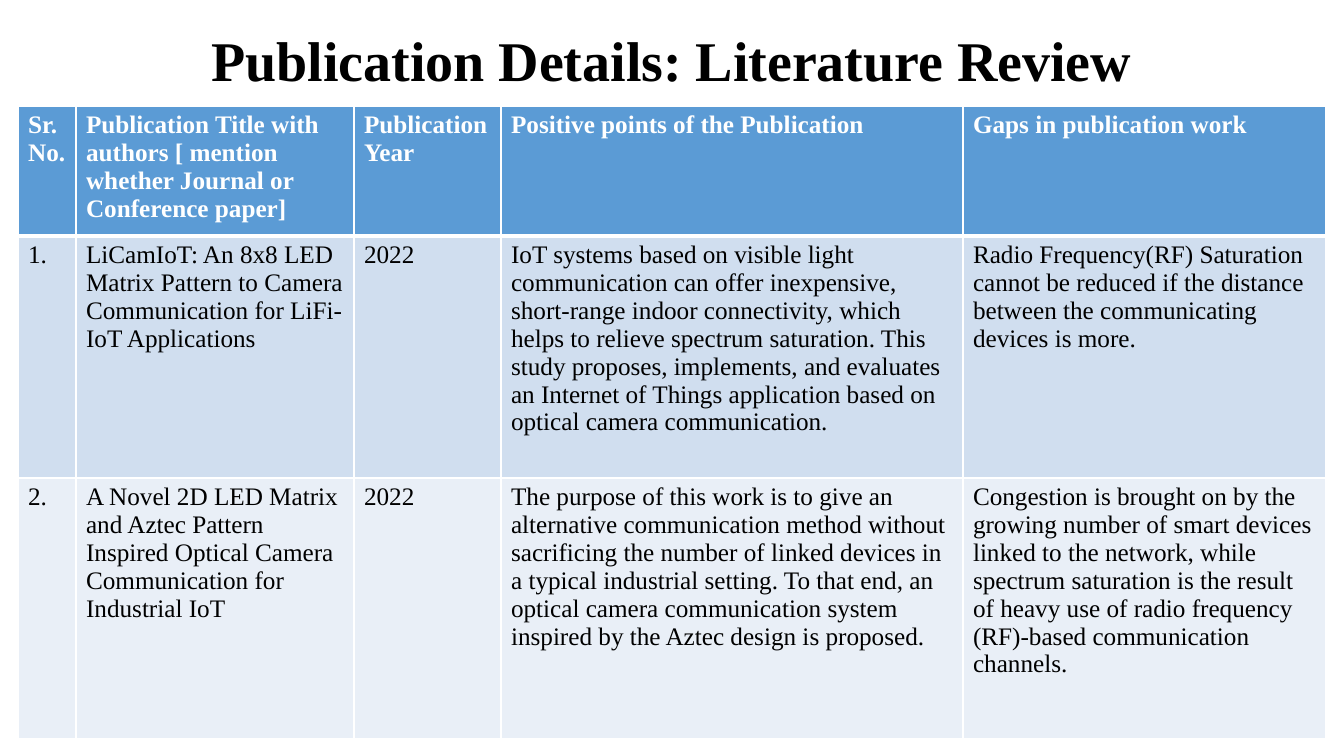
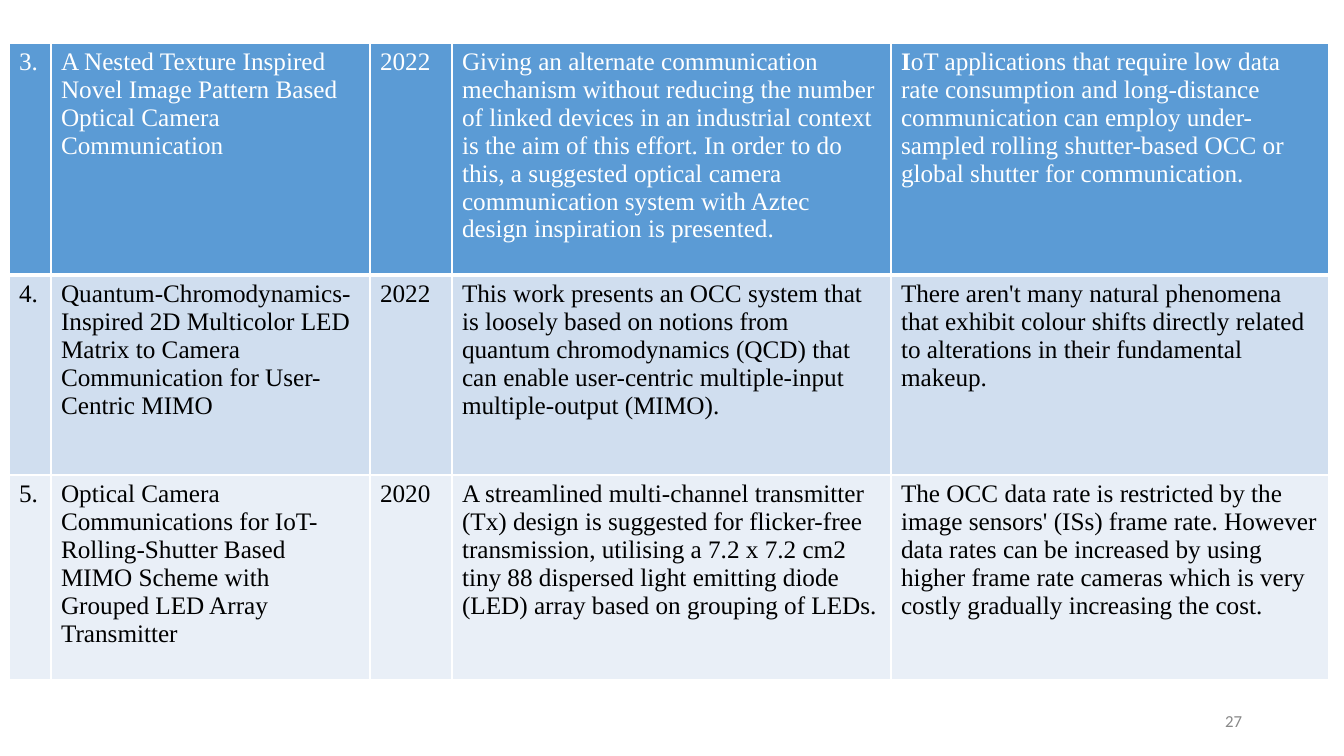
from lxml.etree import SubElement
from pptx import Presentation
from pptx.dml.color import RGBColor
from pptx.enum.text import MSO_ANCHOR, MSO_AUTO_SIZE, PP_ALIGN
from pptx.oxml.ns import qn
from pptx.util import Pt

# Content: a cell is a string, or a tuple of (text, bold) runs
TITLE = "Publication Details: Literature Review"
PAGE_NUMBER = "27"
REVIEW_START = [
    ["Sr. No.",
     "Publication Title with authors [ mention whether Journal or Conference paper]",
     "Publication Year",
     "Positive points of the Publication",
     "Gaps in publication work"],
    ["1.",
     "LiCamIoT: An 8x8 LED Matrix Pattern to Camera Communication for LiFi-IoT Applications",
     "2022",
     "IoT systems based on visible light communication can offer inexpensive, short-range "
     "indoor connectivity, which helps to relieve spectrum saturation. This study proposes, "
     "implements, and evaluates an Internet of Things application based on optical camera "
     "communication.",
     "Radio Frequency(RF) Saturation cannot be reduced if the distance between the "
     "communicating devices is more."],
    ["2.",
     "A Novel 2D LED Matrix and Aztec Pattern Inspired Optical Camera Communication for "
     "Industrial IoT",
     "2022",
     "The purpose of this work is to give an alternative communication method without "
     "sacrificing the number of linked devices in a typical industrial setting. To that end, "
     "an optical camera communication system inspired by the Aztec design is proposed.",
     "Congestion is brought on by the growing number of smart devices linked to the network, "
     "while spectrum saturation is the result of heavy use of radio frequency (RF)-based "
     "communication channels."],
]
REVIEW_CONTINUED = [
    ["3.",
     "A Nested Texture Inspired Novel Image Pattern Based Optical Camera Communication",
     "2022",
     "Giving an alternate communication mechanism without reducing the number of linked "
     "devices in an industrial context is the aim of this effort. In order to do this, a "
     "suggested optical camera communication system with Aztec design inspiration is presented.",
     (("I", True),
      ("oT applications that require low data rate consumption and long-distance communication "
       "can employ under-sampled rolling shutter-based OCC or global shutter for "
       "communication.", False))],
    ["4.",
     "Quantum-Chromodynamics-Inspired 2D Multicolor LED Matrix to Camera Communication for "
     "User-Centric MIMO",
     "2022",
     "This work presents an OCC system that is loosely based on notions from quantum "
     "chromodynamics (QCD) that can enable user-centric multiple-input multiple-output (MIMO).",
     "There aren't many natural phenomena that exhibit colour shifts directly related to "
     "alterations in their fundamental makeup."],
    ["5.",
     "Optical Camera Communications for IoT-Rolling-Shutter Based MIMO Scheme with Grouped "
     "LED Array Transmitter",
     "2020",
     "A streamlined multi-channel transmitter (Tx) design is suggested for flicker-free "
     "transmission, utilising a 7.2 x 7.2 cm2 tiny 88 dispersed light emitting diode (LED) "
     "array based on grouping of LEDs.",
     "The OCC data rate is restricted by the image sensors' (ISs) frame rate. However data "
     "rates can be increased by using higher frame rate cameras which is very costly "
     "gradually increasing the cost."],
]

# Shared style
COLORS = {"head": "5B9BD5", "odd": "D0DEEF", "even": "E9EFF7",
          "white": "FFFFFF", "black": "000000", "gray": "888888"}
SERIF, SANS = "Times New Roman", "Calibri"
PX_PER_INCH = 100.8


def px(n):
    return round(n * 914400 / PX_PER_INCH)


def color(name):
    return RGBColor.from_string(COLORS[name])


def add_run(p, text, size, font, fill, bold=False):
    r = p.add_run()
    r.text = text
    r.font.size, r.font.name, r.font.bold = Pt(size), font, bold
    r.font.color.rgb = color(fill)


def set_border(cell, side, width):
    ln = SubElement(cell._tc.get_or_add_tcPr(), qn(f"a:ln{side}"), w=str(Pt(width)))
    SubElement(SubElement(ln, qn("a:solidFill")), qn("a:srgbClr"), val=COLORS["white"])


def add_review_table(s, left, top, widths, heights, rows, bold_head=False):
    frame = s.shapes.add_table(len(rows), len(widths), px(left), px(top),
                               px(sum(widths)), px(sum(heights)))
    table = frame.table
    table.first_row = table.horz_banding = False
    for column, width in zip(table.columns, widths):
        column.width = px(width)
    for i, (row, height) in enumerate(zip(rows, heights)):
        table.rows[i].height = px(height)
        band = "head" if i == 0 else "odd" if i % 2 else "even"
        for j, content in enumerate(row):
            cell = table.cell(i, j)
            # A thick rule separates the first row from the rest
            for side, width in (("L", 1), ("R", 1), ("T", 3 if i == 1 else 1),
                                ("B", 3 if i == 0 else 1)):
                set_border(cell, side, width)
            cell.fill.solid()
            cell.fill.fore_color.rgb = color(band)
            runs = ((content, bold_head and i == 0),) if isinstance(content, str) else content
            for text, bold in runs:
                add_run(cell.text_frame.paragraphs[0], text, 18, SERIF,
                        "black" if i else "white", bold)


def add_title(s, text):
    sp = s.shapes.title
    sp.left, sp.top, sp.width, sp.height = px(92), px(-10), px(1159), px(146)
    tf = sp.text_frame
    tf.auto_size, tf.vertical_anchor = MSO_AUTO_SIZE.NONE, MSO_ANCHOR.MIDDLE
    p = tf.paragraphs[0]
    p.alignment, p.line_spacing = PP_ALIGN.CENTER, 0.9
    add_run(p, text, 40, SERIF, "black", True)


def add_page_number(s, text):
    tf = s.shapes.add_textbox(px(950), px(701), px(302), px(40)).text_frame
    tf.word_wrap, tf.vertical_anchor = True, MSO_ANCHOR.MIDDLE
    p = tf.paragraphs[0]
    p.alignment = PP_ALIGN.RIGHT
    add_run(p, text, 12, SANS, "gray")


def main():
    prs = Presentation()
    prs.slide_width, prs.slide_height = px(1344), px(756)
    title_only, blank = prs.slide_layouts[5], prs.slide_layouts[6]

    # Slide 1: title and start of the review
    s = prs.slides.add_slide(title_only)
    add_title(s, TITLE)
    add_review_table(s, 18, 106, [58, 278, 147, 462, 363], [130, 242, 261],
                     REVIEW_START, bold_head=True)

    # Slide 2: review continued
    s = prs.slides.add_slide(blank)
    add_page_number(s, PAGE_NUMBER)
    add_review_table(s, 9, 43, [42, 319, 82, 439, 438], [232, 200, 205], REVIEW_CONTINUED)

    prs.save("out.pptx")


if __name__ == "__main__":
    main()
